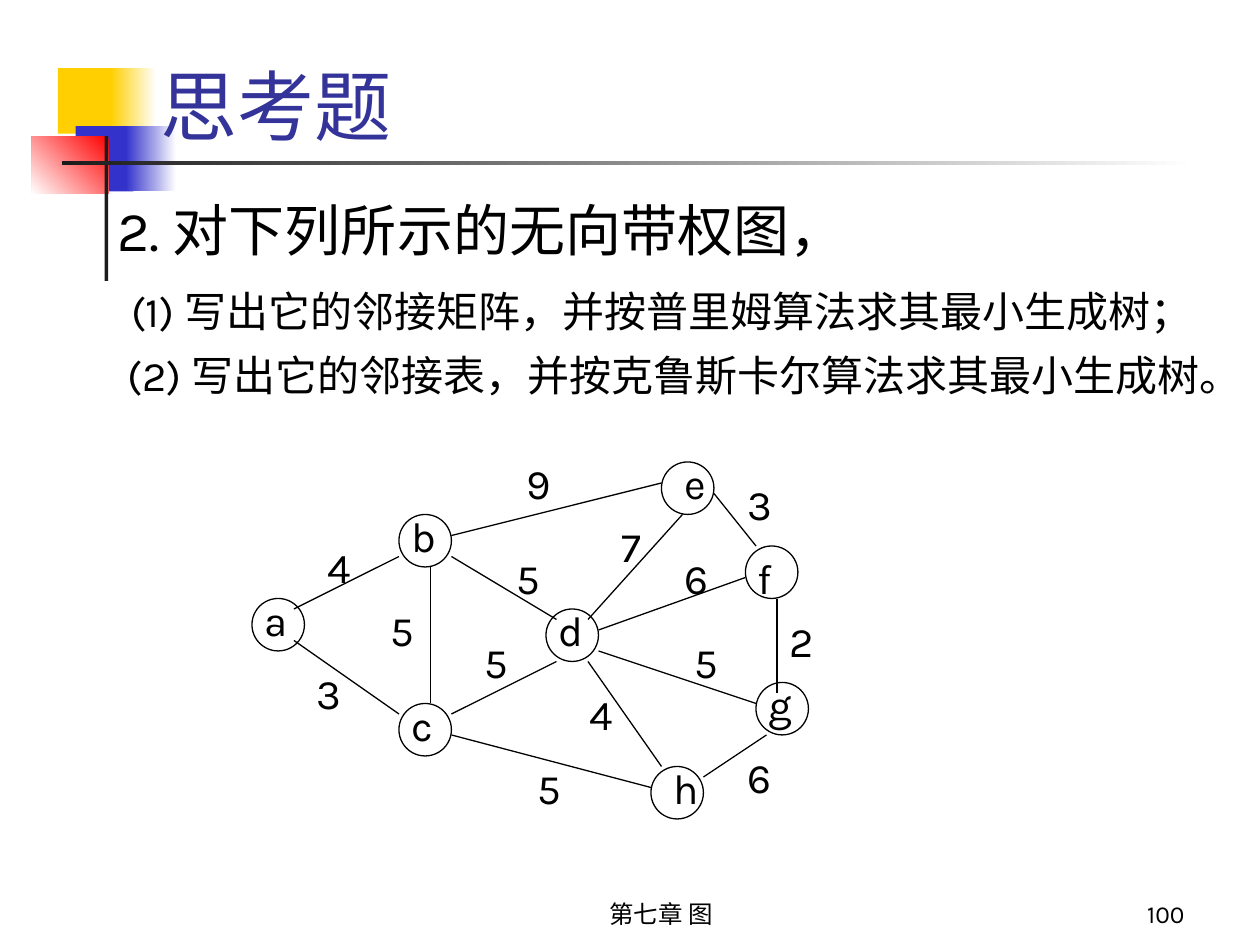
from lxml import etree
from pptx import Presentation
from pptx.dml.color import RGBColor
from pptx.enum.shapes import MSO_CONNECTOR, MSO_SHAPE
from pptx.enum.text import MSO_ANCHOR, MSO_AUTO_SIZE, PP_ALIGN
from pptx.oxml.ns import qn
from pptx.util import Inches, Pt

RECTANGLE, OVAL = MSO_SHAPE.RECTANGLE, MSO_SHAPE.OVAL
STRAIGHT = MSO_CONNECTOR.STRAIGHT
TOP, BOTTOM = MSO_ANCHOR.TOP, MSO_ANCHOR.BOTTOM
LEFT, CENTER, RIGHT = PP_ALIGN.LEFT, PP_ALIGN.CENTER, PP_ALIGN.RIGHT
FIXED, GROW = MSO_AUTO_SIZE.NONE, MSO_AUTO_SIZE.SHAPE_TO_FIT_TEXT

WHITE = RGBColor(255, 255, 255)
BLACK = RGBColor(0, 0, 0)
YELLOW = RGBColor(0xFF, 0xCF, 0x01)
BLUE = RGBColor(0x33, 0x33, 0xCC)
RED = RGBColor(0xFF, 0, 0)
CHARCOAL = RGBColor(0x1C, 0x1C, 0x1C)
INDIGO = RGBColor(0x33, 0x33, 0x99)

LATIN, CHINESE = "Karla", "Noto Sans CJK SC"
COLUMNS, ROWS = 120, 90
CELL = Inches(10) // COLUMNS
NODE_SIZE, LABEL_HEIGHT = 5, 6

# left, top, width, height in inches; start colour, end colour, angle
ORNAMENTS = [
    (0.46, 0.54, 0.48, 0.52, YELLOW, YELLOW, 0),
    (0.88, 0.54, 0.36, 0.52, WHITE, YELLOW, 180),
    (0.6, 1, 0.46, 0.52, BLUE, BLUE, 0),
    (1, 1, 0.4, 0.52, WHITE, BLUE, 180),
    (0.25, 1.08, 0.61, 0.46, RED, WHITE, 225),
    (0.83, 1.08, 0.03, 1.15, CHARCOAL, CHARCOAL, 0),
    (0.49, 1.28, 9, 0.03, WHITE, CHARCOAL, 180),
]
# text, size, first-line indent in inches, space before
QUESTIONS = [
    ("2. 对下列所示的无向带权图，", 32, -0.38, 0),
    ("(1) 写出它的邻接矩阵，并按普里姆算法求其最小生成树；", 24, -0.27, 13),
    ("(2) 写出它的邻接表，并按克鲁斯卡尔算法求其最小生成树。", 24, -0.3, 8),
]
# name: circle column and row; name column, row and width, in cells
NODES = {
    "a": ((24, 57), (24, 56, 5)),
    "b": ((38, 49), (38, 48, 4)),
    "c": ((38, 67), (38, 66, 5)),
    "d": ((52, 58), (52, 57, 6)),
    "e": ((63, 44), (64, 43, 4)),
    "f": ((71, 52), (71, 52, 5)),
    "g": ((72, 65), (72, 64, 4)),
    "h": ((62, 73), (63, 72, 3)),
}
# weight; start and end points; weight column, row and width, in cells
EDGES = [
    ("4", (28, 58, 38, 53), (30, 51, 5)),
    ("9", (43, 51, 63, 46), (49, 43, 5)),
    ("3", (68, 47, 72, 52), (70, 45, 5)),
    ("2", (74, 57, 74, 66), (74, 58, 6)),
    ("6", (73, 70, 67, 74), (70, 71, 5)),
    ("5", (62, 75, 43, 70), (50, 72, 5)),
    ("3", (38, 68, 28, 61), (29, 63, 5)),
    ("5", (41, 54, 41, 67), (36, 57, 5)),
    ("5", (53, 59, 43, 53), (48, 52, 7)),
    ("5", (53, 63, 43, 68), (45, 60, 5)),
    ("7", (65, 49, 56, 59), (58, 49, 5)),
    ("6", (57, 60, 71, 55), (64, 52, 5)),
    ("5", (72, 67, 57, 62), (65, 60, 5)),
    ("4", (63, 73, 56, 63), (55, 65, 7)),
]


def cells(*counts):
    return [count * CELL for count in counts]


def apply_format(target, values):
    for name, value in values.items():
        setattr(target, name, value)


def write(para, text, size, font=LATIN, color=BLACK, align=LEFT):
    span = para.add_run()
    span.text = text
    para.alignment = align
    apply_format(span.font, {"name": font, "size": Pt(size)})
    span.font.color.rgb = color
    east_asian = etree.SubElement(span.font._element, qn("a:ea"))
    east_asian.set("typeface", font)


def frame_text(shape, anchor=TOP, fit=FIXED):
    frame = shape.text_frame
    apply_format(frame, {"word_wrap": True, "auto_size": fit, "vertical_anchor": anchor})
    return frame


def place(shape, left, top, width, height):
    apply_format(shape, {"left": Inches(left), "top": Inches(top),
                         "width": Inches(width), "height": Inches(height)})


def bring_to_front(shape):
    shape.element.getparent().append(shape.element)


def add_ornament(page, left, top, width, height, start, end, angle):
    shape = page.shapes.add_shape(RECTANGLE, 0, 0, 0, 0)
    place(shape, left, top, width, height)
    shape.shadow.inherit = False
    shape.line.fill.background()
    if start == end:
        shape.fill.solid()
        shape.fill.fore_color.rgb = start
        return
    shape.fill.gradient()
    shape.fill.gradient_angle = angle
    for stop, color, position in zip(shape.fill.gradient_stops, (start, end), (0, 1)):
        stop.color.rgb = color
        stop.position = position


def fill_title(page):
    title = page.shapes.title
    place(title, 1.17, 0.25, 8.52, 1)
    frame = frame_text(title, BOTTOM)
    write(frame.paragraphs[0], "思考题", 44, CHINESE, INDIGO)
    bring_to_front(title)


def fill_questions(page):
    body = page.placeholders[1]
    place(body, 0.83, 1.5, 8.96, 5.21)
    frame = frame_text(body)
    for index, (text, size, indent, before) in enumerate(QUESTIONS):
        para = frame.add_paragraph() if index else frame.paragraphs[0]
        para.space_before = Pt(before)
        properties = para._p.get_or_add_pPr()
        properties.set("marL", str(Inches(0.38)))
        properties.set("indent", str(Inches(indent)))
        etree.SubElement(properties, qn("a:buNone"))
        write(para, text, size)
    bring_to_front(body)


def add_node(page, column, row):
    node = page.shapes.add_shape(OVAL, *cells(column, row, NODE_SIZE, NODE_SIZE))
    node.shadow.inherit = False
    node.fill.solid()
    node.fill.fore_color.rgb = WHITE
    node.line.color.rgb = BLACK
    node.line.width = Pt(0.75)


def add_edge(page, points):
    edge = page.shapes.add_connector(STRAIGHT, *cells(*points))
    edge.line.color.rgb = BLACK
    edge.line.width = Pt(0.75)
    etree.SubElement(edge.element.spPr, qn("a:effectLst"))


def add_label(page, text, column, row, width):
    box = page.shapes.add_textbox(*cells(column, row, width, LABEL_HEIGHT))
    write(frame_text(box, fit=GROW).paragraphs[0], text, 24)


def add_footer(page, text, column, width, align):
    box = page.shapes.add_textbox(*cells(column, 83, width, LABEL_HEIGHT))
    write(frame_text(box, BOTTOM).paragraphs[0], text, 14, align=align)


def main():
    deck = Presentation()
    deck.slide_width, deck.slide_height = cells(COLUMNS, ROWS)
    page = deck.slides.add_slide(deck.slide_layouts[1])
    for ornament in ORNAMENTS:
        add_ornament(page, *ornament)
    fill_title(page)
    fill_questions(page)
    for circle, _ in NODES.values():
        add_node(page, *circle)
    for name, (_, spot) in NODES.items():
        add_label(page, name, *spot)
    for _, points, _ in EDGES:
        add_edge(page, points)
    for weight, _, spot in EDGES:
        add_label(page, weight, *spot)
    add_footer(page, "第七章 图", 44, 38, CENTER)
    add_footer(page, "100", 89, 25, RIGHT)
    deck.save("out.pptx")


if __name__ == "__main__":
    main()
